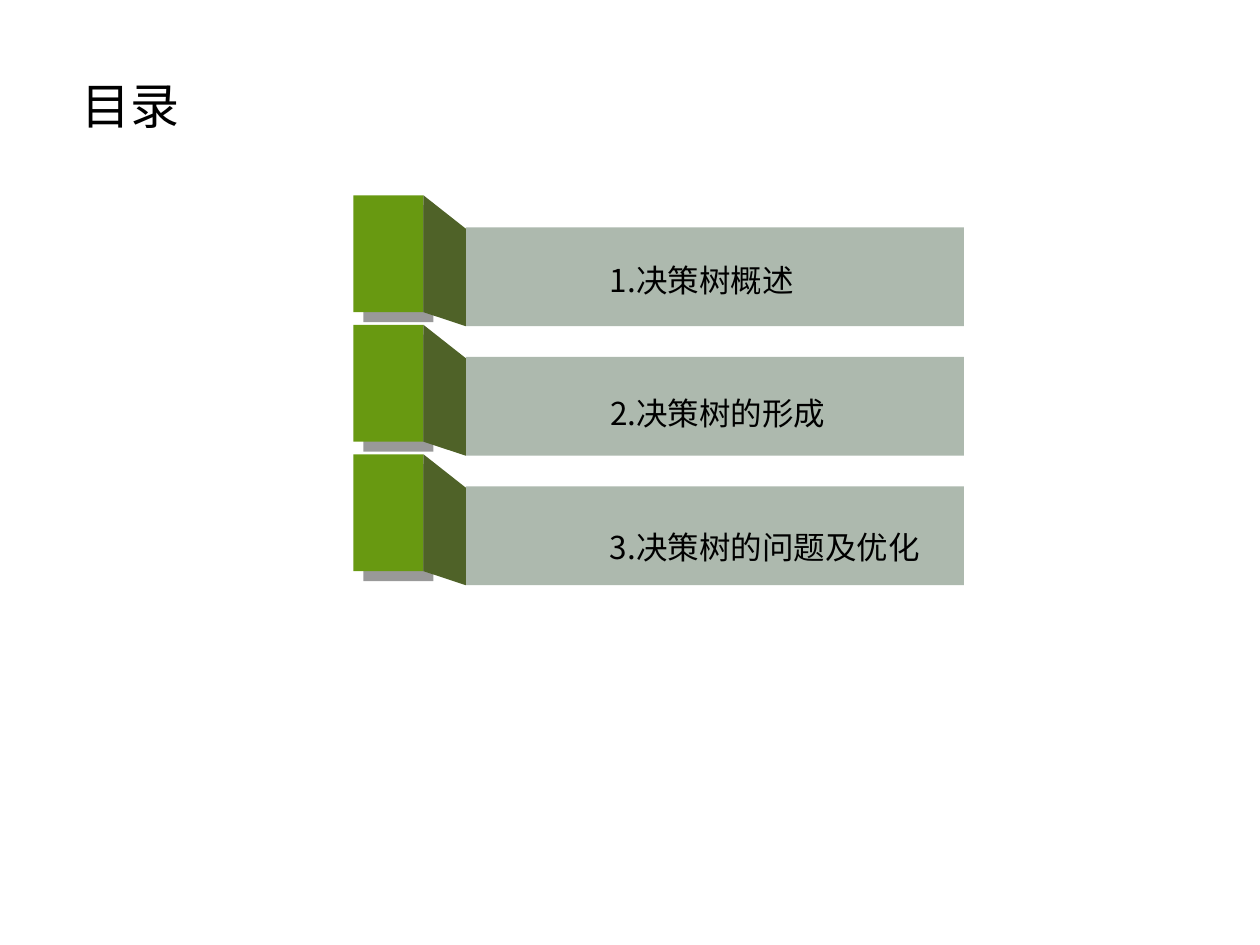
from lxml.etree import SubElement
from pptx import Presentation
from pptx.dml.color import RGBColor
from pptx.enum.shapes import MSO_SHAPE
from pptx.enum.text import MSO_ANCHOR, MSO_AUTO_SIZE, PP_ALIGN
from pptx.oxml.ns import qn
from pptx.util import Pt

TITLE = "目录"
CHAPTERS = [
    ("1.决策树概述", 124),
    ("2.决策树的形成", 142),
    ("3.决策树的问题及优化", 196),
]
FONT = "Noto Sans CJK SC"
COLORS = {"bar": "ADB9AE", "block": "689911", "side": "4F6228", "text": "000000"}

BLOCK_LEFT, BLOCK_TOP, BLOCK_PITCH = 202, 111.6, 74
BLOCK_WIDTH, BLOCK_HEIGHT = 40, 66.8
BAR_LEFT, BAR_WIDTH, BAR_HEIGHT, BAR_DROP = 266.2, 284.6, 56.4, 18.4
LABEL_LEFT, LABEL_TOP, LABEL_PITCH, LABEL_HEIGHT = 341.5, 145.4, 76.3, 29


def paint(shape, color):
    shape.shadow.inherit = False
    shape.fill.solid()
    shape.fill.fore_color.rgb = RGBColor.from_string(color)
    shape.line.fill.background()


def add_rectangle(slide, left, top, width, height, color):
    shape = slide.shapes.add_shape(
        MSO_SHAPE.RECTANGLE, Pt(left), Pt(top), Pt(width), Pt(height))
    paint(shape, color)
    return shape


def add_polygon(slide, points, color):
    start, *rest = [(Pt(x), Pt(y)) for x, y in points]
    builder = slide.shapes.build_freeform(*start)
    builder.add_line_segments(rest, close=True)
    paint(builder.convert_to_shape(), color)


def add_offset_shadow(shape):
    effects = shape._element.spPr.find(qn("a:effectLst"))
    shadow = SubElement(effects, qn("a:outerShdw"), blurRad="0",
                        dist=str(Pt(8)), dir="2700000", algn="ctr", rotWithShape="0")
    color = SubElement(shadow, qn("a:srgbClr"), val="000000")
    SubElement(color, qn("a:alpha"), val="40000")


def write(shape, text, size, wrap):
    frame = shape.text_frame
    frame.word_wrap = wrap
    frame.auto_size = MSO_AUTO_SIZE.SHAPE_TO_FIT_TEXT
    frame.vertical_anchor = MSO_ANCHOR.TOP
    paragraph = frame.paragraphs[0]
    paragraph.text = text
    paragraph.alignment = PP_ALIGN.LEFT
    paragraph.space_before = Pt(0)
    paragraph.font.size = Pt(size)
    paragraph.font.color.rgb = RGBColor.from_string(COLORS["text"])
    paragraph.font.name = FONT
    properties = paragraph._p.pPr.find(qn("a:defRPr"))
    SubElement(properties, qn("a:ea"), typeface=FONT)


def add_chapter(slide, index, text, width):
    top = BLOCK_TOP + index * BLOCK_PITCH
    bar_top = top + BAR_DROP
    block_right = BLOCK_LEFT + BLOCK_WIDTH
    add_rectangle(slide, BAR_LEFT, bar_top, BAR_WIDTH, BAR_HEIGHT, COLORS["bar"])
    block = add_rectangle(
        slide, BLOCK_LEFT, top, BLOCK_WIDTH, BLOCK_HEIGHT, COLORS["block"])
    add_offset_shadow(block)
    add_polygon(slide, [
        (block_right, top), (BAR_LEFT, bar_top + 0.7),
        (BAR_LEFT, bar_top + BAR_HEIGHT), (block_right, top + BLOCK_HEIGHT),
    ], COLORS["side"])
    label = slide.shapes.add_textbox(
        Pt(LABEL_LEFT), Pt(LABEL_TOP + index * LABEL_PITCH), Pt(width), Pt(LABEL_HEIGHT))
    write(label, text, 18, False)


def main():
    presentation = Presentation()
    presentation.slide_width, presentation.slide_height = Pt(720), Pt(540)
    slide = presentation.slides.add_slide(presentation.slide_layouts[5])
    title = slide.shapes.title
    title.left, title.top, title.width, title.height = Pt(39.6), Pt(39.6), Pt(78.5), Pt(41)
    write(title, TITLE, 28, True)
    for index, (text, width) in enumerate(CHAPTERS):
        add_chapter(slide, index, text, width)
    presentation.save("out.pptx")


if __name__ == "__main__":
    main()
